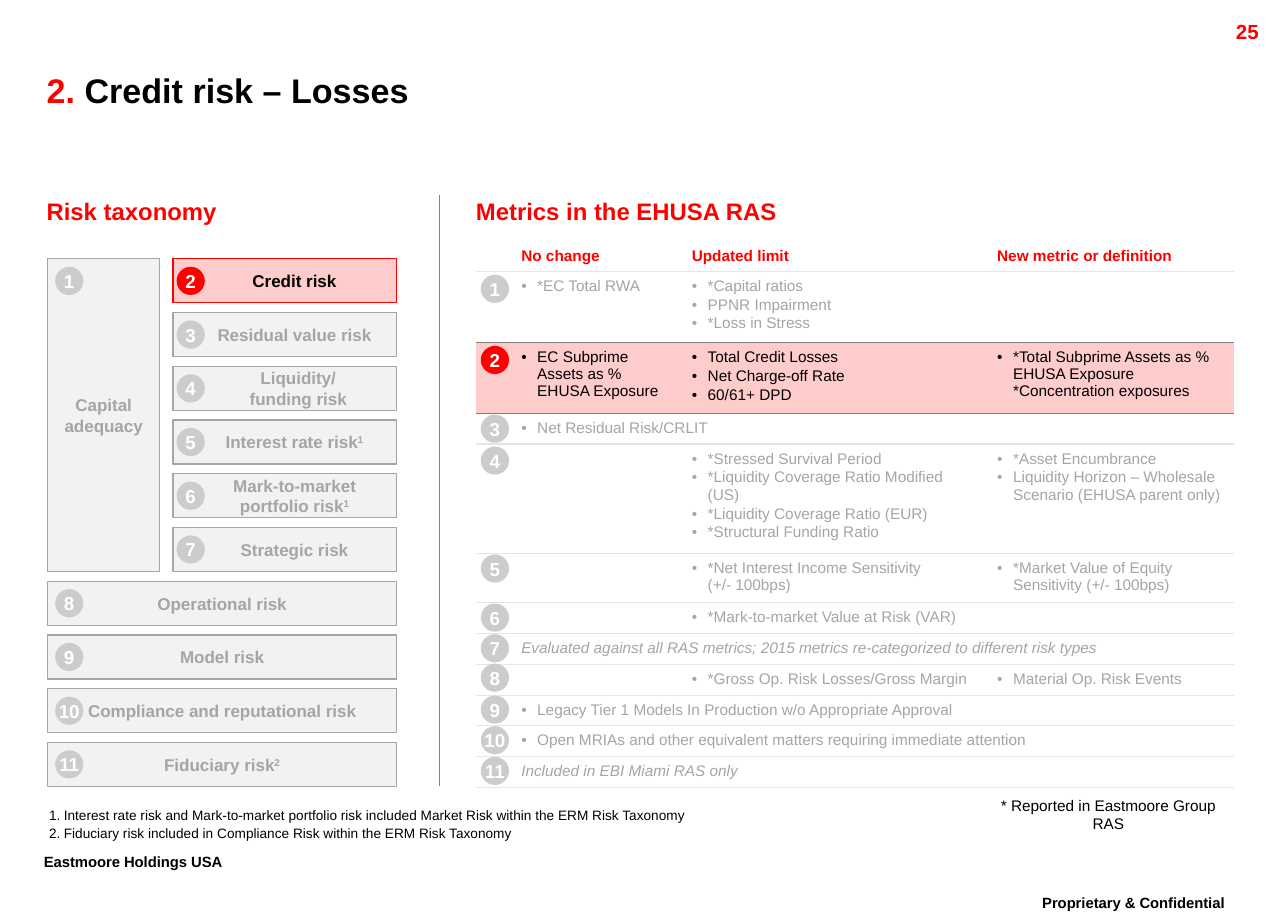
from lxml import etree
from pptx import Presentation
from pptx import util as u
from pptx.dml.color import RGBColor
from pptx.enum import shapes, text
from pptx.oxml.ns import qn

CELL = u.Inches(0.1)
COLS, ROWS = 105, 75
RED, PINK, BLACK, WHITE = "FF0000", "FFCCCC", "000000", "FFFFFF"
GREY, PALE, DISC, RULE, DARK = "A5A5A5", "F2F2F2", "CCCCCC", "E5E5E5", "7F7F7F"
LEFT, MID, RIGHT = text.PP_ALIGN.LEFT, text.PP_ALIGN.CENTER, text.PP_ALIGN.RIGHT

TOP, STEP, TALL = 21.1, 4.38, 3.6
NARROW = [
    ("2", "Credit risk", "", 2, 0.4),
    ("3", "Residual value risk", "", 2, 0.4),
    ("4", "Liquidity/\nfunding risk", "", 3.2, 1),
    ("5", "Interest rate risk", "1", 2, 0.4),
    ("6", "Mark-to-market\nportfolio risk", "1", 2.6, 1),
    ("7", "Strategic risk", "", 2, 0.4),
]
WIDE = [
    ("8", "Operational risk", ""),
    ("9", "Model risk", ""),
    ("10", "Compliance and reputational risk", ""),
    ("11", "Fiduciary risk", "2"),
]
HEADS = ["No change", "Updated limit", "New metric or definition"]
METRICS = [
    (5.5, 22.4, ["*EC Total RWA", "*Capital ratios\nPPNR Impairment\n*Loss in Stress", ""]),
    (5.5, 28.2, ["EC Subprime Assets as % EHUSA Exposure",
                 "Total Credit Losses\nNet Charge-off Rate\n60/61+ DPD",
                 "*Total Subprime Assets as % EHUSA Exposure *Concentration exposures"]),
    (2.4, 33.8, ["Net Residual Risk/CRLIT"]),
    (8.4, 36.4, ["", "*Stressed Survival Period\n*Liquidity Coverage Ratio Modified (US)\n"
                 "*Liquidity Coverage Ratio (EUR)\n*Structural Funding Ratio",
                 "*Asset Encumbrance\nLiquidity Horizon – Wholesale Scenario (EHUSA parent only)"]),
    (3.8, 45.2, ["", "*Net Interest Income Sensitivity\v(+/- 100bps)",
                 "*Market Value of Equity Sensitivity (+/- 100bps)"]),
    (2.4, 49.2, ["", "*Mark-to-market Value at Risk (VAR)", ""]),
    (2.4, 51.7, ["Evaluated against all RAS metrics; 2015 metrics re-categorized to different risk types"]),
    (2.4, 54.1, ["", "*Gross Op. Risk Losses/Gross Margin", "Material Op. Risk Events"]),
    (2.4, 56.7, ["Legacy Tier 1 Models In Production w/o Appropriate Approval"]),
    (2.4, 59.2, ["Open MRIAs and other equivalent matters requiring immediate attention"]),
    (2.4, 61.7, ["Included in EBI Miami RAS only"]),
]
PLAIN = ("Evaluated", "Included")


def hue(code):
    return RGBColor.from_string(code)


def grid(*spots):
    return [int(s * CELL) for s in spots]


def pad(frame, left=0, top=0, right=0, low=0):
    (frame.margin_left, frame.margin_top,
     frame.margin_right, frame.margin_bottom) = grid(left, top, right, low)


def pen(frame, size, color, bold=False, italic=False, align=LEFT):
    for para in frame.paragraphs:
        para.alignment = align
        for gap in para._p.findall(qn("a:br")):
            etree.SubElement(gap, qn("a:rPr"), sz=str(size * 100))
        for run in para.runs:
            font = run.font
            font.name, font.size = "Arial", u.Pt(size)
            font.bold, font.italic = bold, italic
            font.color.rgb = hue(color)


def lift(run):
    run.font._element.set("baseline", "30000")


def bullet(para, dent, tag, **attrs):
    props = para._p.get_or_add_pPr()
    width = grid(dent)[0]
    props.set("marL", str(width))
    props.set("indent", str(-width))
    etree.SubElement(props, qn("a:buFont"), typeface="Arial")
    etree.SubElement(props, qn(tag), **attrs)


def space(frame):
    for num, para in enumerate(frame.paragraphs):
        para.space_before = u.Pt(1 if num else 0)


def label(slide, spot, words, size, color, bold=True, align=LEFT, inset=(0, 0, 0, 0)):
    frame = slide.shapes.add_textbox(*grid(*spot)).text_frame
    frame.word_wrap = True
    pad(frame, *inset)
    frame.text = words
    pen(frame, size, color, bold, align=align)
    return frame


def footer(slide, spot, words, align):
    frame = label(slide, spot, words, 15, BLACK, align=align, inset=(1, 0.5, 1, 0.5))
    frame.paragraphs[0].line_spacing = 0.86
    lift(frame.paragraphs[0].runs[0])


def shape(slide, kind, spot, fill, words, size, color):
    item = slide.shapes.add_shape(kind, *grid(*spot))
    item.shadow.inherit = False
    item.fill.solid()
    item.fill.fore_color.rgb = hue(fill)
    item.line.fill.background()
    frame = item.text_frame
    frame.vertical_anchor = text.MSO_ANCHOR.MIDDLE
    frame.text = words
    pad(frame)
    pen(frame, size, color, True, align=MID)
    return item


def badge(slide, x, y, num):
    fill = RED if num == "2" else DISC
    disc = shape(slide, shapes.MSO_SHAPE.OVAL, (x, y, 2.3, 2.3), fill, num, 11, WHITE)
    disc.text_frame.word_wrap = False


def box(slide, spot, num, words, note="", left=0.4, right=0.4, shift=0.6):
    hot = num == "2"
    item = shape(slide, shapes.MSO_SHAPE.RECTANGLE, spot, PINK if hot else PALE,
                 words, 10, BLACK if hot else GREY)
    item.line.color.rgb = hue(RED if hot else GREY)
    item.line.width = u.Pt(0.75)
    frame = item.text_frame
    frame.word_wrap = True
    pad(frame, left, 0.4, right, 0.4)
    if note:
        run = frame.paragraphs[-1].add_run()
        run.text = note
        pen(frame, 10, GREY, True, align=MID)
        lift(run)
    badge(slide, spot[0] + shift, spot[1] + 0.65, num)


def taxonomy(slide):
    box(slide, (3.9, TOP, 9.1, 25.5), "1", "Capital adequacy")
    for row, (num, words, note, left, right) in enumerate(NARROW):
        box(slide, (14.1, TOP + row * STEP, 18.2, TALL), num, words, note, left, right, 0.3)
    for row, (num, words, note) in enumerate(WIDE, len(NARROW)):
        box(slide, (3.9, TOP + row * STEP, 28.4, TALL), num, words, note)


def edge(cell, tag, color):
    line = etree.SubElement(cell._tc.get_or_add_tcPr(), qn(tag), w=str(u.Pt(0.75)))
    fill = etree.SubElement(line, qn("a:solidFill"))
    etree.SubElement(fill, qn("a:srgbClr"), val=color)


def fill_cell(cell, words, row):
    pad(cell, 0.5, 0.5, 1.1, 0.5)
    if row:
        edge(cell, "a:lnT", DARK if row in (2, 3) else RULE)
    edge(cell, "a:lnB", DARK if row in (1, 2) else RULE)
    cell.fill.solid()
    cell.fill.fore_color.rgb = hue(PINK if row == 2 else WHITE)
    frame = cell.text_frame
    if not words:
        etree.SubElement(frame.paragraphs[0]._p, qn("a:endParaRPr"), sz="900")
        return
    frame.text = words
    plain = words.startswith(PLAIN)
    if row and not plain:
        for para in frame.paragraphs:
            bullet(para, 1.3, "a:buChar", char="•")
    space(frame)
    if not row:
        cell.vertical_anchor = text.MSO_ANCHOR.MIDDLE
    pen(frame, 9, {0: RED, 2: BLACK}.get(row, GREY), not row, plain)


def metrics(slide):
    rows = [(2.4, 0, HEADS)] + METRICS
    table = slide.shapes.add_table(len(rows), 4, *grid(38.8, 19.6, 61.8, 42.4)).table
    table.first_row = table.horz_banding = False
    table._tbl.tblPr[0].text = "{2D5ABB26-0587-4C30-8999-92F81FD0307C}"
    for col, width in zip(table.columns, grid(3.2, 13.9, 24.9, 19.8)):
        col.width = width
    for row, (tall, _, words) in enumerate(rows):
        table.rows[row].height = grid(tall)[0]
        if len(words) == 1:
            table.cell(row, 1).merge(table.cell(row, 3))
        for col, part in enumerate([""] + words + [""] * (3 - len(words))):
            fill_cell(table.cell(row, col), part, row)
    for num, (_, y, _) in enumerate(METRICS, 1):
        badge(slide, 39.2, y, str(num))


def holder(item, spot):
    item.left, item.top, item.width, item.height = grid(*spot)
    frame = item.text_frame
    frame.auto_size = text.MSO_AUTO_SIZE.NONE
    frame.word_wrap = True
    pad(frame)
    return frame


def title(slide):
    frame = holder(slide.shapes.title, (3.8, 4.9, 94.8, 4.8))
    frame.vertical_anchor = text.MSO_ANCHOR.MIDDLE
    frame.text = "2. "
    run = frame.paragraphs[0].add_run()
    run.text = "Credit risk – Losses"
    pen(frame, 20, RED, True)
    run.font.color.rgb = hue(BLACK)


def notes(slide):
    frame = holder(slide.placeholders[1], (4, 65.8, 54.7, 2.7))
    frame.vertical_anchor = text.MSO_ANCHOR.TOP
    frame.text = ("Interest rate risk and Mark-to-market portfolio risk included Market Risk "
                  "within the ERM Risk Taxonomy\n"
                  "Fiduciary risk included in Compliance Risk within the ERM Risk Taxonomy")
    for para in frame.paragraphs:
        bullet(para, 1.2, "a:buAutoNum", type="arabicPeriod")
    space(frame)
    pen(frame, 8, BLACK)


def divide(slide):
    line = slide.shapes.add_connector(shapes.MSO_CONNECTOR.STRAIGHT, *grid(35.8, 15.9, 35.8, 64.1))
    line.line.color.rgb = hue(DARK)
    line.line.width = u.Pt(0.75)
    etree.SubElement(line._element.spPr, qn("a:effectLst"))


def main():
    deck = Presentation()
    deck.slide_width, deck.slide_height = grid(COLS, ROWS)
    slide = deck.slides.add_slide(deck.slide_layouts[1])
    title(slide)
    label(slide, (93.6, 1.1, 10, 2.4), "25", 12, RED, align=RIGHT, inset=(1, 0.5, 1, 0.5))
    label(slide, (3.8, 16, 29.8, 2.4), "Risk taxonomy", 14, RED)
    label(slide, (38.8, 16, 56.9, 2.4), "Metrics in the EHUSA RAS", 14, RED)
    taxonomy(slide)
    divide(slide)
    metrics(slide)
    notes(slide)
    star = label(slide, (80.2, 64.9, 20.3, 1.5), "* Reported in Eastmoore Group RAS", 9, BLACK, False, MID)
    star.word_wrap = False
    footer(slide, (2.6, 69.1, 22, 3.5), "Eastmoore Holdings USA", LEFT)
    footer(slide, (81.5, 72.5, 21.8, 3.5), "Proprietary & Confidential", MID)
    deck.save("out.pptx")


if __name__ == "__main__":
    main()
